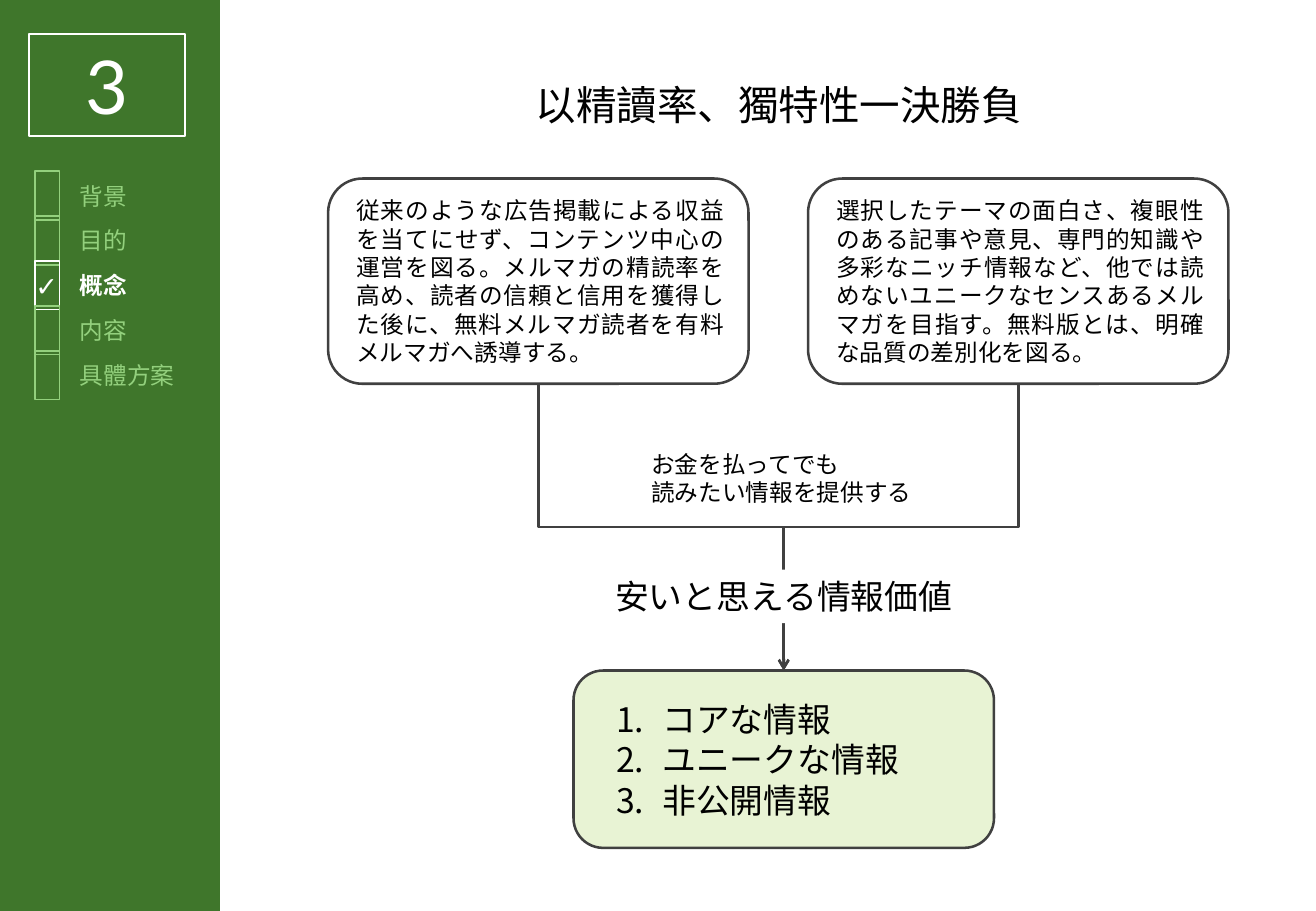
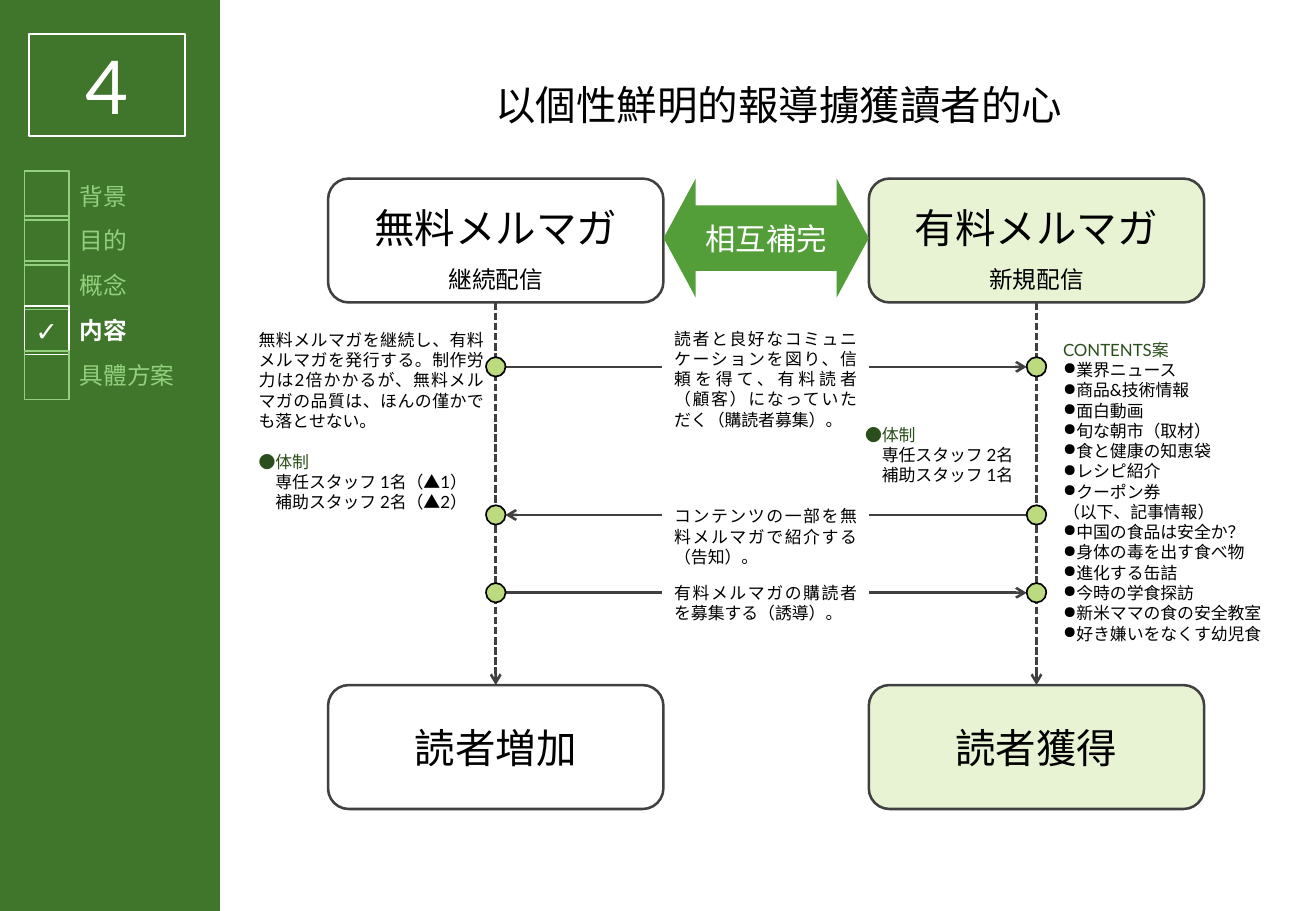
from lxml import etree
from pptx import Presentation, util as u
from pptx.dml.color import RGBColor
from pptx.enum import dml, shapes, text
from pptx.oxml.ns import qn

HUES = {"side": "3F762B", "dim": "93D07D", "white": "FFFFFF", "ink": "000000",
        "edge": "404040", "pale": "E8F3D4", "arrow": "549E39", "dot": "BBDB7E",
        "head": "2A4F1C"}
WIDE, TALL = u.Inches(10.83), u.Inches(7.5)
COL, ROW = WIDE / 100, TALL / 100  # every place below is in hundredths of the slide
KIND = shapes.MSO_SHAPE
LEFT, MID, JUST = (text.PP_ALIGN.LEFT, text.PP_ALIGN.CENTER, text.PP_ALIGN.JUSTIFY)
LATIN, ASIAN = "Lato", "Noto Sans CJK JP"

# name: (size, bold, colour, alignment)
STYLES = {
    "number": (44, False, "white", MID), "title": (24, False, "ink", MID),
    "menu": (14, False, "dim", LEFT), "active": (14, True, "white", LEFT),
    "check": (16, True, "white", MID), "body": (14, False, "ink", JUST),
    "plain": (14, False, "ink", LEFT), "value": (20, False, "ink", MID),
    "list": (20, False, "ink", JUST), "sub": (14, False, "ink", MID),
    "swap": (18, False, "white", MID), "note": (10, False, "ink", JUST),
    "lead": (10, False, "head", JUST), "point": (10, False, "ink", JUST)}
# style: (indent in inches, bullet tag, its attributes)
BULLETS = {"list": (0.38, "a:buAutoNum", {"type": "arabicPeriod"}),
           "point": (0.09, "a:buChar", {"char": "●"})}


def box(page, at, lines=(), kind=KIND.RECTANGLE, fill=None, edge=None, width=1.5,
        pad=(0.1, 0.05, 0.1, 0.05), gap=0, shape=None):
    """Place a shape (or a given placeholder) and write (text, style) lines in it."""
    x, y, w, h = at
    spot = [int(n) for n in (x * COL, y * ROW, w * COL, h * ROW)]
    if shape is None:
        shape = page.shapes.add_shape(kind, *spot)
        shape.shadow.inherit = False
    for key, val in zip(("left", "top", "width", "height"), spot):
        setattr(shape, key, val)
    for part, hue in ((shape.fill, fill), (shape.line.fill, edge)):
        if hue:
            part.solid()
            part.fore_color.rgb = RGBColor.from_string(HUES[hue])
        else:
            part.background()
    if edge:
        shape.line.width = u.Pt(width)
    frame = shape.text_frame
    look = {"word_wrap": True, "auto_size": text.MSO_AUTO_SIZE.NONE,
            "vertical_anchor": text.MSO_ANCHOR.MIDDLE}
    sides = ("margin_left", "margin_top", "margin_right", "margin_bottom")
    look.update(zip(sides, map(u.Inches, pad)))
    for key, val in look.items():
        setattr(frame, key, val)
    for i, (words, style) in enumerate(lines):
        size, bold, hue, align = STYLES[style]
        para = frame.add_paragraph() if i else frame.paragraphs[0]
        para.alignment = align
        para.space_before = u.Pt(gap if i else 0)
        if style in BULLETS:
            indent, tag, attrs = BULLETS[style]
            props = para._p.get_or_add_pPr()
            props.set("marL", str(u.Inches(indent)))
            props.set("indent", str(-u.Inches(indent)))
            etree.SubElement(props, qn(tag), attrs)
        run = para.add_run()
        run.text = words
        font = {"size": u.Pt(size), "bold": bold,
                "name": ASIAN if style == "title" and shape.is_placeholder else LATIN}
        for key, val in font.items():
            setattr(run.font, key, val)
        run.font.color.rgb = RGBColor.from_string(HUES[hue])
        etree.SubElement(run._r.get_or_add_rPr(), qn("a:ea"), typeface=ASIAN)
    return shape


def link(page, start, end, dash=False, bent=False):
    """Draw an arrow; a bent one leaves downwards and turns halfway."""
    (x1, y1), (x2, y2) = [(x * COL, y * ROW) for x, y in (start, end)]
    sort = shapes.MSO_CONNECTOR.STRAIGHT
    right = x2 > x1
    if bent:
        sort = shapes.MSO_CONNECTOR.ELBOW
        cx, cy = (x1 + x2) / 2, (y1 + y2) / 2
        dx, dy = abs(x2 - x1) / 2, (y2 - y1) / 2
        flip = 1 if right else -1
        x1, x2, y1, y2 = cx + flip * dy, cx - flip * dy, cy - dx, cy + dx
    wire = page.shapes.add_connector(sort, *[int(n) for n in (x1, y1, x2, y2)])
    props = wire._element.spPr
    if bent:
        props.find(qn("a:xfrm")).set("rot", str((270 if right else 90) * 60000))
    wire.line.color.rgb = RGBColor.from_string(HUES["edge"])
    wire.line.width = u.Pt(1.5)
    if dash:
        wire.line.dash_style = dml.MSO_LINE.SQUARE_DOT
        props.find(qn("a:ln")).find(qn("a:prstDash")).set("val", "sysDash")
    etree.SubElement(props.find(qn("a:ln")), qn("a:tailEnd"), type="arrow")
    etree.SubElement(props, qn("a:effectLst"))


deck = Presentation()
deck.slide_width, deck.slide_height = WIDE, TALL

# Shared: title, side band, number and menu
MENU = ["背景", "目的", "概念", "内容", "具體方案"]
STEP = 4.93
pages = []
for num, title, now, tick_x, tick_w in (
        ("3", "以精讀率、獨特性一決勝負", 2, 2.68, 1.85),
        ("4", "以個性鮮明的報導擄獲讀者的心", 3, 1.85, 3.42)):
    page = deck.slides.add_slide(deck.slide_layouts[5])
    pages.append(page)
    box(page, (34.81, 8.13, 48.75, 6.67), [(title, "title")], shape=page.shapes.title)
    box(page, (0, 0, 16.71, 100), fill="side")
    box(page, (2.22, 3.73, 11.82, 11.2), [(num, "number")], edge="white", width=1)
    for i, item in enumerate(MENU):
        on = i == now
        box(page, (5.17, 19.2 + i * STEP, 11.08, 4.53),
            [(item, "active" if on else "menu")])
        box(page, (tick_x, 18.8 + i * STEP, tick_w, 5.33),
            edge="white" if on else "dim", width=1)
    box(page, (1.57, 19 + now * STEP, 3.97, STEP), [("✓", "check")])

# Slide 1: two ideas lead to one value
page = pages[0]
CARD_W, CARD_H, CARD_Y = 31.95, 22.53, 19.6
GOAL_X, GOAL_Y = 43.58, 73.6
for x, words in (
        (24.93, "従来のような広告掲載による収益を当てにせず、コンテンツ中心の運営を図る。"
                "メルマガの精読率を高め、読者の信頼と信用を獲得した後に、"
                "無料メルマガ読者を有料メルマガへ誘導する。"),
        (61.4, "選択したテーマの面白さ、複眼性のある記事や意見、専門的知識や多彩なニッチ情報など、"
               "他では読めないユニークなセンスあるメルマガを目指す。"
               "無料版とは、明確な品質の差別化を図る。")):
    box(page, (x, CARD_Y, CARD_W, CARD_H), [(words, "body")], KIND.ROUNDED_RECTANGLE,
        edge="edge", pad=(0.15, 0.05, 0.12, 0.05))
    link(page, (x + CARD_W / 2, CARD_Y + CARD_H), (GOAL_X + CARD_W / 2, GOAL_Y), bent=True)
box(page, (48.57, 48.67, 25.58, 7.6),
    [("お金を払ってでも", "plain"), ("読みたい情報を提供する", "plain")])
box(page, (GOAL_X, 62.53, CARD_W, 5.87), [("安いと思える情報価値", "value")], fill="white")
box(page, (GOAL_X, GOAL_Y, CARD_W, 19.47),
    [(words, "list") for words in ("コアな情報", "ユニークな情報", "非公開情報")],
    KIND.ROUNDED_RECTANGLE, "pale", "edge", pad=(0.28, 0.05, 0.1, 0.05))

# Slide 2: free and paid magazine side by side
page = pages[1]
BOX_W, BOX_H, TOP, BASE = 25.48, 13.6, 19.6, 75.2
DOT_W, DOT_H = 1.48, 2.13
LANES = []
for x, fill, name, sub, result in (
        (24.93, None, "無料メルマガ", "継続配信", "読者増加"),
        (66.02, "pale", "有料メルマガ", "新規配信", "読者獲得")):
    lane = x + BOX_W / 2
    LANES.append(lane)
    box(page, (x, TOP, BOX_W, BOX_H), [(name, "title"), (sub, "sub")],
        KIND.ROUNDED_RECTANGLE, fill, "edge", pad=(0.1, 0.15, 0.1, 0.02), gap=8)
    box(page, (x, BASE, BOX_W, BOX_H), [(result, "title")],
        KIND.ROUNDED_RECTANGLE, fill, "edge")
    link(page, (lane, TOP + BOX_H), (lane, BASE), dash=True)

swap = box(page, (50.42, TOP, 15.6, 13.07), [("相互補完", "swap")],
           KIND.LEFT_RIGHT_ARROW, "arrow", pad=(0, 0, 0, 0))
swap.adjustments[0], swap.adjustments[1] = 0.55, 0.27

near, far = LANES[0] + DOT_W / 2, LANES[1] - DOT_W / 2
for y, ends, top, high, words in (
        (40.27, (near, far), 35.33, 12.53,
         "読者と良好なコミュニケーションを図り、信頼を得て、"
         "有料読者（顧客）になっていただく（購読者募集）。"),
        (56.53, (far, near), 54.8, 8.13,
         "コンテンツの一部を無料メルマガで紹介する（告知）。"),
        (65.07, (near, far), 63.2, 5.87, "有料メルマガの購読者を募集する（誘導）。")):
    link(page, (ends[0], y), (ends[1], y))
    box(page, (50.32, top, 15.7, high), [(words, "note")], fill="white")
    for lane in LANES:
        box(page, (lane - DOT_W / 2, y - DOT_H / 2, DOT_W, DOT_H),
            kind=KIND.FLOWCHART_CONNECTOR, fill="dot", edge="ink", width=1)

box(page, (18.74, 35.47, 18.93, 12.53),
    [("無料メルマガを継続し、有料メルマガを発行する。制作労力は2倍かかるが、"
      "無料メルマガの品質は、ほんの僅かでも落とせない。", "note")])
for x, y, w, first, second in ((18.74, 48.8, 18.93, "1名（▲1）", "2名（▲2）"),
                               (64.82, 45.87, 13.57, "2名", "1名")):
    box(page, (x, y, w, 8.13), [("●体制", "lead"), ("　専任スタッフ\t" + first, "note"),
                                ("　補助スタッフ\t" + second, "note")])

NEWS = ["業界ニュース", "商品&技術情報", "面白動画", "旬な朝市（取材）",
        "食と健康の知恵袋", "レシピ紹介", "クーポン券"]
STORIES = ["中国の食品は安全か？", "身体の毒を出す食べ物", "進化する缶詰",
           "今時の学食探訪", "新米ママの食の安全教室", "好き嫌いをなくす幼児食"]
box(page, (79.87, 36.4, 18.28, 35.07),
    [("CONTENTS案", "lead")] + [(words, "point") for words in NEWS]
    + [("（以下、記事情報）", "note")] + [(words, "point") for words in STORIES])

deck.save("out.pptx")
